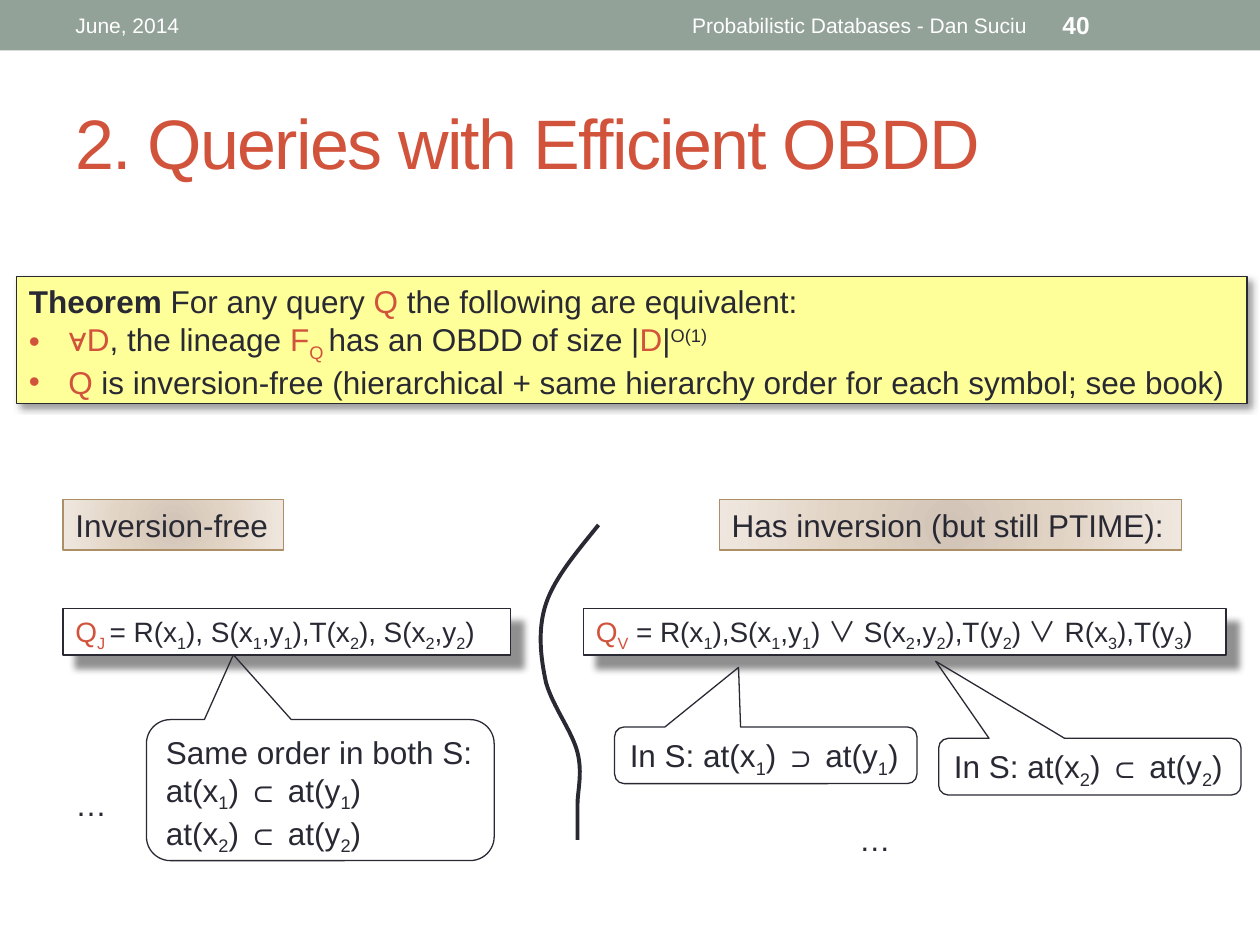
import pptx
import pptx.util
import pptx.oxml
import pptx.oxml.ns
from pptx.dml.color import RGBColor
from pptx.enum.shapes import MSO_SHAPE
from pptx.enum.text import MSO_ANCHOR, MSO_AUTO_SIZE, PP_ALIGN

Pt = pptx.util.Pt
qn = pptx.oxml.ns.qn
NS = pptx.oxml.ns.nsdecls("a")

INK = RGBColor(0x29, 0x29, 0x34)
RED = RGBColor(0xD2, 0x53, 0x3C)
SAGE = RGBColor(0x93, 0xA2, 0x99)
YELLOW = RGBColor(0xFF, 0xFF, 0x99)
WHITE = RGBColor(0xFF, 0xFF, 0xFF)
TAN = RGBColor(0xAD, 0x8F, 0x67)
TAN_STOPS = ((0, RGBColor(0xD1, 0xC4, 0xB6)),
             (45, RGBColor(0xE1, 0xD3, 0xC4)),
             (100, RGBColor(0xEF, 0xE7, 0xDF)))

# Each mark switches its style on and off: bold, red, subscript, superscript, symbol font
MARKS = "*~_^`"


def add_run(p, text, on, size, color):
    r = p.add_run()
    r.text = text
    r.font.size = Pt(size)
    r.font.name = "Noto Sans CJK JP" if "`" in on else "Arial"
    r.font.color.rgb = RED if "~" in on else color
    r.font.bold = "*" in on
    if "_" in on or "^" in on:
        r._r.get_or_add_rPr().set("baseline", "-25000" if "_" in on else "30000")
    return r


def write(p, markup, size, color=INK):
    """Fill a paragraph from text in which MARKS toggle run styles."""
    on, text = set(), ""
    for ch in markup + "\0":
        if ch not in MARKS + "\n\0":
            text += ch
            continue
        if text:
            add_run(p, text, on, size, color)
            text = ""
        if ch == "\n":
            p.add_line_break()
        elif ch in MARKS:
            on ^= {ch}


def add_bullet(p, indent):
    pPr = p._p.get_or_add_pPr()
    pPr.set("marL", str(Pt(indent)))
    pPr.set("indent", str(-Pt(indent)))
    pPr.append(pptx.oxml.parse_xml(
        f'<a:buClr {NS}><a:srgbClr val="{RED}"/></a:buClr>'))
    pPr.append(pptx.oxml.parse_xml(f'<a:buFont {NS} typeface="Arial"/>'))
    pPr.append(pptx.oxml.parse_xml(f'<a:buChar {NS} char="•"/>'))


def add_shadow(sp, alpha, blur, dist):
    sp._element.spPr.find(qn("a:effectLst")).append(pptx.oxml.parse_xml(
        f'<a:outerShdw {NS} blurRad="{Pt(blur)}" dist="{Pt(dist)}" dir="2700000" '
        f'algn="tl" rotWithShape="0"><a:srgbClr val="000000">'
        f'<a:alpha val="{alpha * 1000}"/></a:srgbClr></a:outerShdw>'))


def add_box(s, box, shape=MSO_SHAPE.RECTANGLE, fill=None, line=INK):
    sp = s.shapes.add_shape(shape, *map(Pt, box))
    sp.shadow.inherit = False
    if fill is None:
        sp.fill.background()
    else:
        sp.fill.solid()
        sp.fill.fore_color.rgb = fill
    if line is None:
        sp.line.fill.background()
    else:
        sp.line.color.rgb = line
        sp.line.width = Pt(0.75)
    return sp


def fit_text(sp, lines, size):
    """Write left-aligned, unwrapped paragraphs that the shape grows to fit."""
    tf = sp.text_frame
    tf.word_wrap = False
    tf.auto_size = MSO_AUTO_SIZE.SHAPE_TO_FIT_TEXT
    tf.vertical_anchor = MSO_ANCHOR.TOP
    for i, line in enumerate(lines):
        p = tf.add_paragraph() if i else tf.paragraphs[0]
        p.alignment = PP_ALIGN.LEFT
        if i:
            add_bullet(p, 22.5)
        write(p, line, size)


def label(s, box, text, size, color, align=PP_ALIGN.LEFT):
    tf = s.shapes.add_textbox(*map(Pt, box)).text_frame
    tf.word_wrap = True
    tf.vertical_anchor = MSO_ANCHOR.MIDDLE
    p = tf.paragraphs[0]
    p.alignment = align
    write(p, text, size, color)
    return p


def header(s, box):
    x, y, w, h = box
    add_box(s, box, fill=SAGE, line=None)
    row = y + 1.5, h - 3
    for left, width, text, size, align in (
            (36, 228, "June, 2014", 12, PP_ALIGN.LEFT),
            (270, 324, "Probabilistic Databases - Dan Suciu", 12, PP_ALIGN.RIGHT),
            (600, 84, "*40*", 14, PP_ALIGN.LEFT)):
        label(s, (x + left, row[0], width, row[1]), text, size, WHITE, align)


def title(s, box):
    p = label(s, box, "2. Queries with Efficient OBDD", 40, RED)
    p.runs[0]._r.get_or_add_rPr().set("spc", "-100")


def theorem(s, box):
    sp = add_box(s, box, fill=YELLOW)
    add_shadow(sp, 40, 4, 3)
    fit_text(sp, (
        "*Theorem *For any query ~Q~ the following are equivalent:",
        "~∀D~, the lineage ~F_Q _~has an OBDD of size |~D~|^O(1)^",
        "~Q~ is inversion-free (hierarchical + same hierarchy order "
        "for each symbol; see book)"), 18)


def heading(s, box, text):
    sp = add_box(s, box, line=TAN)
    stops = "".join(f'<a:gs pos="{pos * 1000}"><a:srgbClr val="{color}"/></a:gs>'
                    for pos, color in TAN_STOPS)
    grad = pptx.oxml.parse_xml(
        f'<a:gradFill {NS} rotWithShape="1"><a:gsLst>{stops}</a:gsLst>'
        '<a:path path="circle"><a:fillToRect l="100000" t="100000" r="100000" '
        'b="100000"/></a:path></a:gradFill>')
    spPr = sp._element.spPr
    spPr.replace(spPr.find(qn("a:noFill")), grad)
    fit_text(sp, [text], 18)


def query(s, box, formula):
    sp = add_box(s, box, fill=WHITE)
    add_shadow(sp, 43, 4, 10)
    fit_text(sp, [formula], 16)


def callout(s, box, tip, text):
    sp = add_box(s, box, MSO_SHAPE.ROUNDED_RECTANGULAR_CALLOUT)
    for i, value in enumerate((*tip, 0.17)):
        sp.adjustments[i] = value
    fit_text(sp, [text], 18)


def ellipsis(s, box):
    fit_text(s.shapes.add_textbox(*map(Pt, box)), ["…"], 18)


def divider(s, points):
    """Draw a curve through a start point and triples of Bézier points."""
    start, *rest = points
    builder = s.shapes.build_freeform(*start, scale=Pt(1))
    builder.add_line_segments(rest, close=False)
    sp = builder.convert_to_shape()
    sp.shadow.inherit = False
    sp.fill.background()
    sp.line.color.rgb = INK
    sp.line.width = Pt(2.25)
    path = next(sp._element.iter(qn("a:path")))
    segments = path.findall(qn("a:lnTo"))
    for i in range(0, len(segments), 3):
        curve = pptx.oxml.parse_xml(f"<a:cubicBezTo {NS}/>")
        path.append(curve)
        for segment in segments[i:i + 3]:
            curve.append(segment[0])
            path.remove(segment)


def main():
    prs = pptx.Presentation()
    prs.slide_width, prs.slide_height = Pt(720), Pt(540)
    s = prs.slides.add_slide(prs.slide_layouts[6])
    header(s, (0, 0, 720, 28.8))
    title(s, (36, 42, 648, 78))
    theorem(s, (9.4, 157.8, 703.2, 72.7))
    divider(s, ((342, 300), (329.8, 315), (317, 330),
                (312, 345), (307, 360), (309, 376),
                (312, 390), (315.5, 404), (327, 418),
                (330, 430), (332.6, 441.5), (330, 451.5),
                (330, 460), (330, 468), (330, 474.5), (330, 480)))

    heading(s, (36, 285.4, 126, 29), "Inversion-free")
    query(s, (36, 347.8, 255.6, 26.6),
          "~Q_J _~= R(x_1_), S(x_1_,y_1_),T(x_2_), S(x_2_,y_2_)")
    callout(s, (83.7, 411.2, 198.7, 80.6), (-0.25, -0.96),
            "Same order in both S:\nat(x_1_) ⊂ at(y_1_)\nat(x_2_) ⊂ at(y_2_)")
    ellipsis(s, (36, 445, 32.4, 29))

    heading(s, (411, 285.4, 264.2, 29), "Has inversion (but still PTIME):")
    query(s, (333.4, 347.8, 367.2, 26.6),
          "~Q_V_~ = R(x_1_),S(x_1_,y_1_) `∨` S(x_2_,y_2_),T(y_2_) `∨` R(x_3_),T(y_3_)")
    callout(s, (351.2, 415.4, 172.8, 32.4), (-0.09, -1.55),
            "In S: at(x_1_) ⊃ at(y_1_)")
    callout(s, (536.4, 421.9, 172.8, 32.4), (-0.51, -1.86),
            "In S: at(x_2_) ⊂ at(y_2_)")
    ellipsis(s, (483.8, 465.1, 32.4, 29))
    prs.save("out.pptx")


if __name__ == "__main__":
    main()
